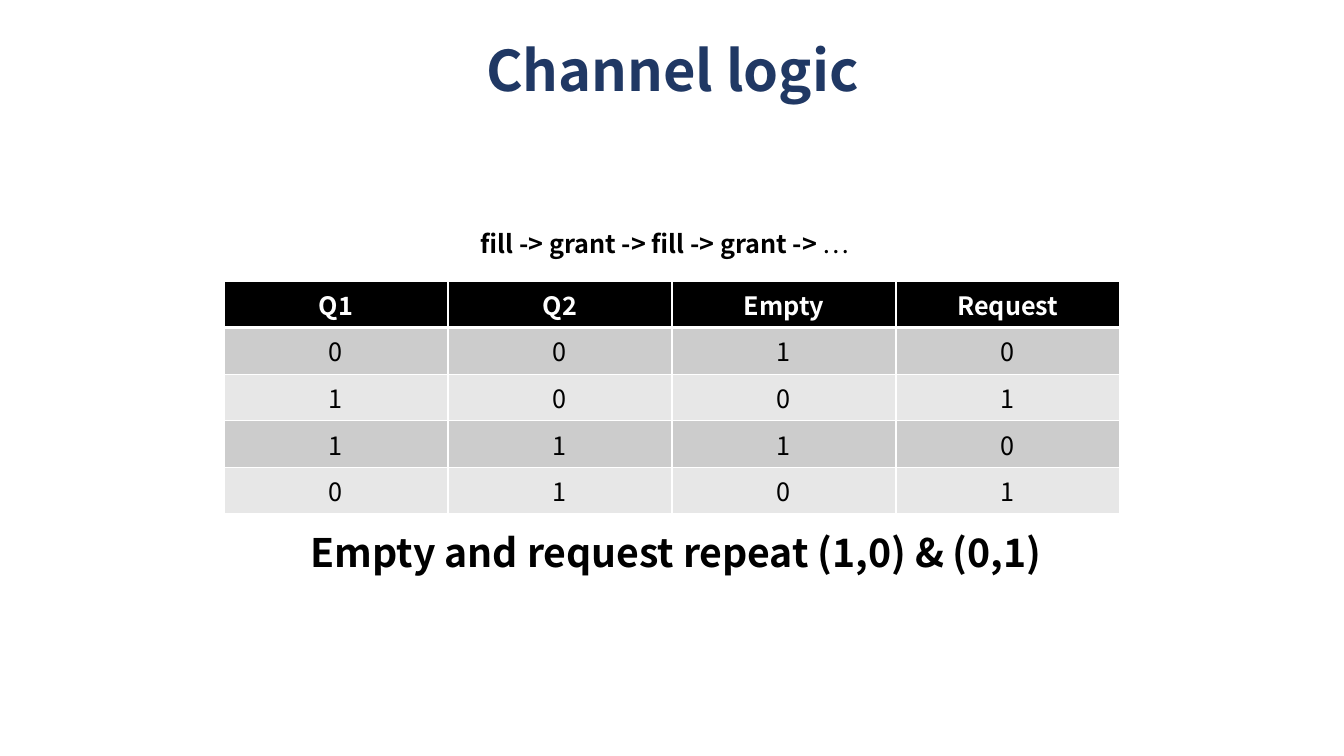
from lxml import etree
from pptx import Presentation
from pptx.dml.color import RGBColor
from pptx.enum.text import MSO_ANCHOR, MSO_AUTO_SIZE, PP_ALIGN
from pptx.oxml.ns import qn
from pptx.util import Emu, Pt

PIXEL = 914400 / 100.8
FONT = "Noto Sans CJK KR"
BLACK, WHITE, NAVY = "000000", "FFFFFF", "203864"
BANDS = ("CCCCCC", "E7E7E7")
LEFT, CENTER = PP_ALIGN.LEFT, PP_ALIGN.CENTER
TOP, BOTTOM = MSO_ANCHOR.TOP, MSO_ANCHOR.BOTTOM
FIT_SHAPE, NO_FIT = MSO_AUTO_SIZE.SHAPE_TO_FIT_TEXT, MSO_AUTO_SIZE.NONE
TRUTH_TABLE = (
    ("Q1", "Q2", "Empty", "Request"),
    ("0", "0", "1", "0"),
    ("1", "0", "0", "1"),
    ("1", "1", "1", "0"),
    ("0", "1", "0", "1"),
)


def px(length):
    return Emu(round(length * PIXEL))


def color(value):
    return RGBColor.from_string(value)


def style(para, size, fill, bold, align):
    para.alignment = align
    para.font.name = FONT
    para.font.size = Pt(size)
    para.font.bold = bold
    para.font.color.rgb = color(fill)


def add_text(page, place, text, size, fill=BLACK, align=LEFT, anchor=TOP, wrap=False):
    box = page.shapes.add_textbox(*map(px, place))
    frame = box.text_frame
    frame.word_wrap = wrap
    frame.auto_size = NO_FIT if wrap else FIT_SHAPE
    frame.vertical_anchor = anchor
    para = frame.paragraphs[0]
    para.add_run().text = text
    style(para, size, fill, True, align)
    return para


def set_borders(cell, widths):
    properties = cell._tc.get_or_add_tcPr()
    for index, (side, width) in enumerate(widths.items()):
        line = etree.Element(qn(f"a:ln{side}"), w=str(Pt(width)))
        solid = etree.SubElement(line, qn("a:solidFill"))
        etree.SubElement(solid, qn("a:srgbClr"), val=WHITE)
        properties.insert(index, line)


def add_truth_table(page, left, top, column_width, row_height):
    rows, columns = len(TRUTH_TABLE), len(TRUTH_TABLE[0])
    table = page.shapes.add_table(
        rows, columns, px(left), px(top),
        px(column_width * columns), px(row_height * rows),
    ).table
    for row_index, values in enumerate(TRUTH_TABLE):
        header = row_index == 0
        for column_index, value in enumerate(values):
            cell = table.cell(row_index, column_index)
            cell.text = value
            style(cell.text_frame.paragraphs[0], 18,
                  WHITE if header else BLACK, header, CENTER)
            cell.fill.solid()
            cell.fill.fore_color.rgb = color(
                BLACK if header else BANDS[(row_index - 1) % 2])
            set_borders(cell, {"L": 1, "R": 1, "T": 3 if row_index == 1 else 1,
                               "B": 3 if header else 1})


def main():
    deck = Presentation()
    deck.slide_width, deck.slide_height = px(1344), px(756)
    page = deck.slides.add_slide(deck.slide_layouts[6])
    add_truth_table(page, 224, 281, 224, 41)
    sequence = add_text(page, (471, 223, 419, 40),
                        "fill -> grant -> fill -> grant -> ", 18)
    ellipsis = sequence.add_run()
    ellipsis.text = "…"
    ellipsis.font.bold = False
    title = add_text(page, (93, 0, 1159, 109), "Channel logic", 40,
                     NAVY, CENTER, BOTTOM, wrap=True)
    title.line_spacing = 0.9
    add_text(page, (301, 523, 758, 57), "Empty and request repeat (1,0) & (0,1)", 28)
    deck.save("out.pptx")


main()
